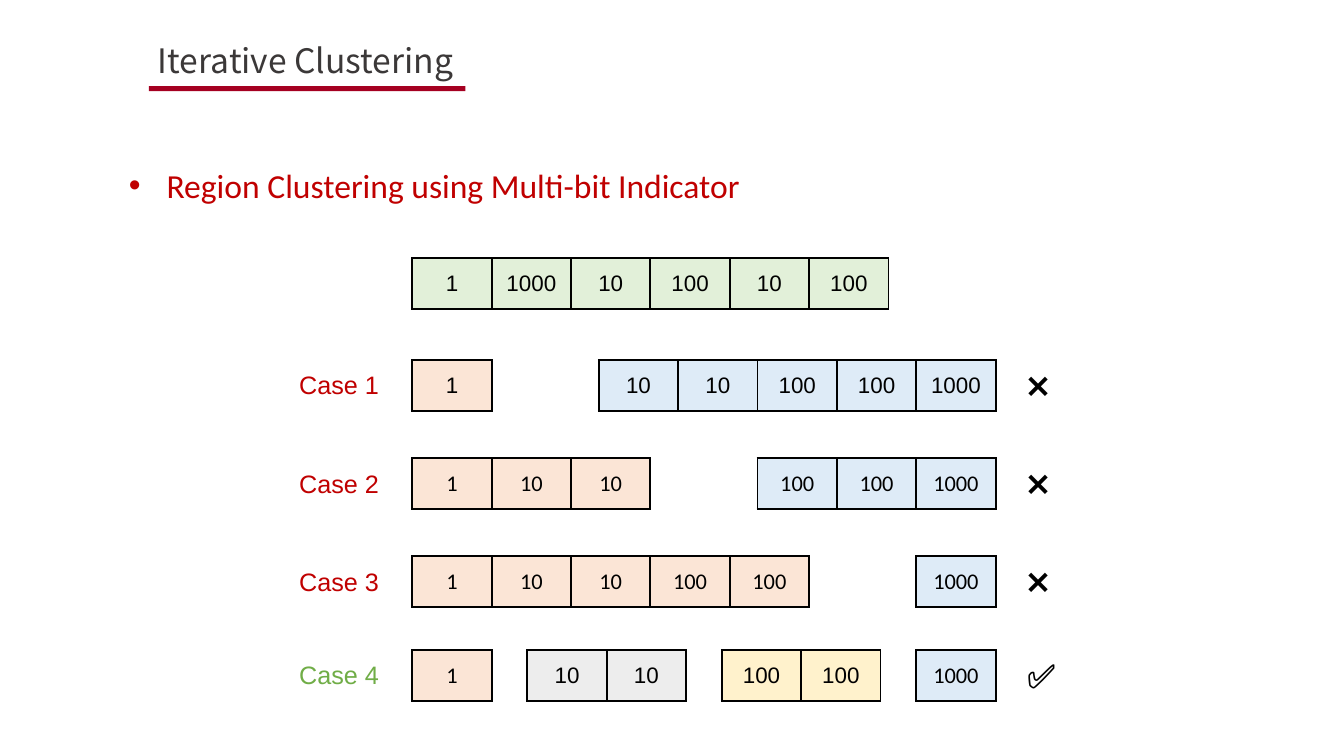
from pptx import Presentation
from pptx.dml.color import RGBColor
from pptx.enum.shapes import MSO_SHAPE
from pptx.enum.text import MSO_ANCHOR, PP_ALIGN
from pptx.oxml import parse_xml
from pptx.oxml.ns import nsdecls
from pptx.util import Cm, Pt

RECT = MSO_SHAPE.RECTANGLE
MIDDLE = MSO_ANCHOR.MIDDLE
CENTER = PP_ALIGN.CENTER

BLACK = RGBColor(0x00, 0x00, 0x00)
GRAY = RGBColor(0x3B, 0x38, 0x38)
CRIMSON = RGBColor(0xA5, 0x00, 0x21)
RED = RGBColor(0xC0, 0x00, 0x00)
GREEN = RGBColor(0x70, 0xAD, 0x47)
MINT = RGBColor(0xE2, 0xF0, 0xD9)
PEACH = RGBColor(0xFB, 0xE5, 0xD6)
SKY = RGBColor(0xDE, 0xEB, 0xF7)
SILVER = RGBColor(0xED, 0xED, 0xED)
CREAM = RGBColor(0xFF, 0xF2, 0xCC)

ARIAL, CALIBRI, NOTO = "Arial", "Calibri", "Noto Sans CJK SC"

TITLE = "Iterative Clustering"
TOPIC = "Region Clustering using Multi-bit Indicator"
REGIONS = [1, 1000, 10, 100, 10, 100]

# label, label colour, mark, top in cm, groups of (values, fill, font)
CASES = [
    ("Case 1", RED, "❌", 9.07, [
        ([1], PEACH, ARIAL),
        ([10, 10, 100, 100, 1000], SKY, ARIAL)]),
    ("Case 2", RED, "❌", 11.55, [
        ([1, 10, 10], PEACH, CALIBRI),
        ([100, 100, 1000], SKY, CALIBRI)]),
    ("Case 3", RED, "❌", 14.02, [
        ([1, 10, 10, 100, 100], PEACH, CALIBRI),
        ([1000], SKY, CALIBRI)]),
    ("Case 4", GREEN, "✅", 16.38, [
        ([1], PEACH, CALIBRI),
        ([10, 10], SILVER, ARIAL),
        ([100, 100], CREAM, ARIAL),
        ([1000], SKY, CALIBRI)]),
]

# lengths in cm
CELL_W, CELL_H = 2.0, 1.28
LEFT, SPAN = 10.39, 14.7
LABEL_X, MARK_X = 7.29, 25.63

deck = Presentation()
deck.slide_width, deck.slide_height = Cm(33.87), Cm(19.05)
slide = deck.slides.add_slide(deck.slide_layouts[6])


def style(para, size, font, color):
    for run in para.runs:
        run.font.size = Pt(size)
        run.font.name = font
        run.font.color.rgb = color


def add_text(text, x, y, w, h, size, font, color, wrap=False):
    box = slide.shapes.add_textbox(Cm(x), Cm(y), Cm(w), Cm(h))
    box.text_frame.word_wrap = wrap
    box.text_frame.text = text
    para = box.text_frame.paragraphs[0]
    style(para, size, font, color)
    return para


def add_border(cell):
    props = cell._tc.get_or_add_tcPr()
    for i, side in enumerate(("lnL", "lnR", "lnT", "lnB")):
        props.insert(i, parse_xml(
            f'<a:{side} {nsdecls("a")} w="19050"><a:solidFill>'
            f'<a:srgbClr val="{BLACK}"/></a:solidFill></a:{side}>'))


def add_cells(values, x, y, fill, font):
    count = len(values)
    table = slide.shapes.add_table(
        1, count, Cm(x), Cm(y), Cm(count * CELL_W), Cm(CELL_H)).table
    table.first_row = table.horz_banding = False
    for cell, value in zip(table.rows[0].cells, values):
        cell.text = str(value)
        cell.vertical_anchor = MIDDLE
        cell.fill.solid()
        cell.fill.fore_color.rgb = fill
        para = cell.text_frame.paragraphs[0]
        para.alignment = CENTER
        style(para, 16, font, BLACK)
        add_border(cell)


add_text(TITLE, 3.73, 0.87, 11.35, 1.28, 24, NOTO, GRAY, wrap=True)
bar = slide.shapes.add_shape(RECT, Cm(3.75), Cm(2.17), Cm(7.98), Cm(0.13))
bar.shadow.inherit = False
bar.fill.solid()
bar.fill.fore_color.rgb = CRIMSON
bar.line.fill.background()

topic = add_text(TOPIC, 1.73, 4.02, 28.19, 1.28, 24, CALIBRI, RED, wrap=True)
topic.level = 1
topic.space_after = Pt(12)
props = topic._p.get_or_add_pPr()
props.set("marL", str(Cm(2.22)))
props.set("indent", str(Cm(-0.95)))
props.append(parse_xml(f'<a:buFont {nsdecls("a")} typeface="Arial"/>'))
props.append(parse_xml(f'<a:buChar {nsdecls("a")} char="•"/>'))

add_cells(REGIONS, LEFT, 6.5, MINT, ARIAL)
for label, color, mark, top, groups in CASES:
    add_text(label, LABEL_X, top + 0.12, 2.54, 1.03, 18, ARIAL, color)
    used = sum(len(values) for values, _, _ in groups) * CELL_W
    gap = (SPAN - used) / (len(groups) - 1)
    x = LEFT
    for values, fill, font in groups:
        add_cells(values, x, top, fill, font)
        x += len(values) * CELL_W + gap
    add_text(mark, MARK_X, top, 1.37, 1.28, 24, ARIAL, BLACK)

deck.save("out.pptx")
